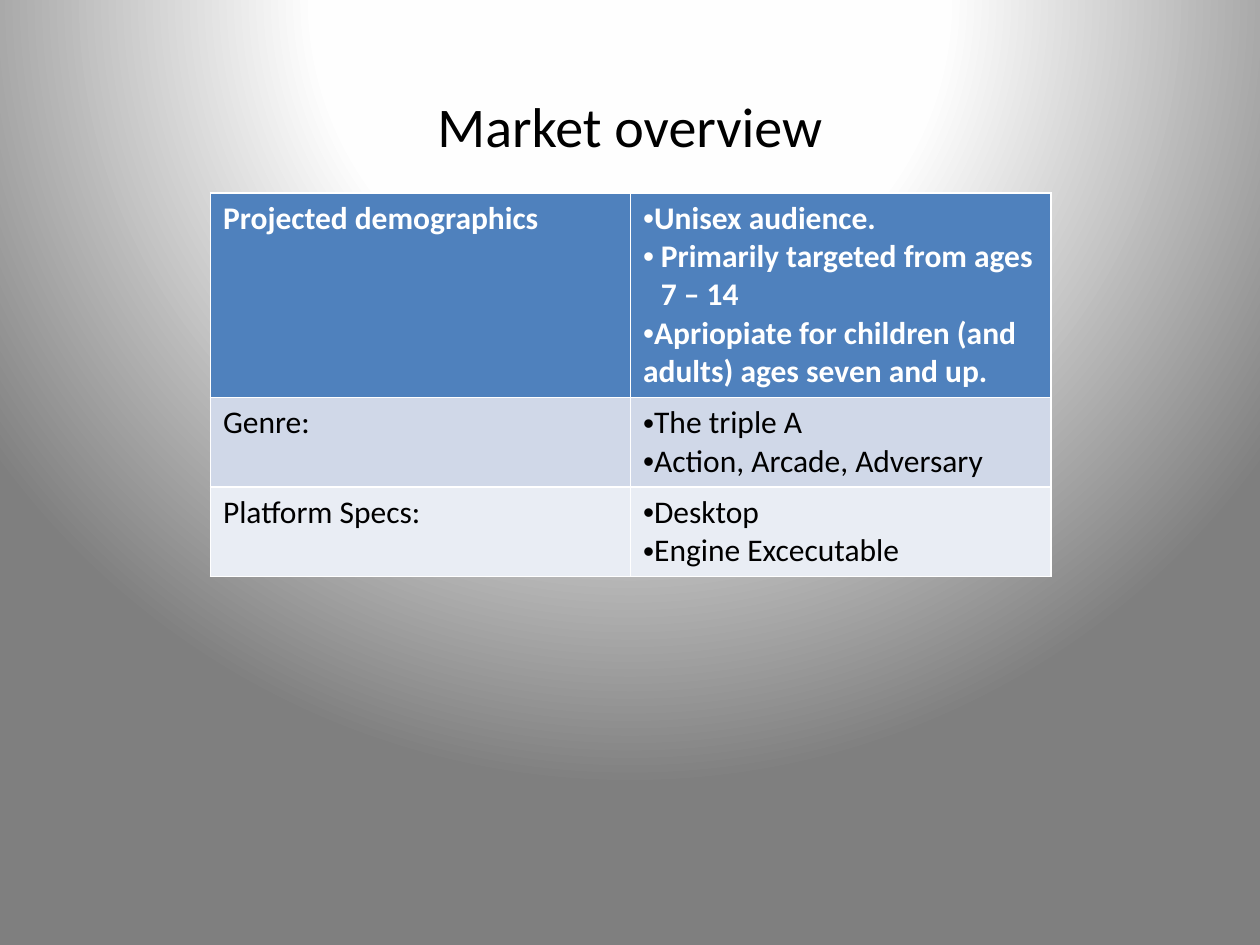
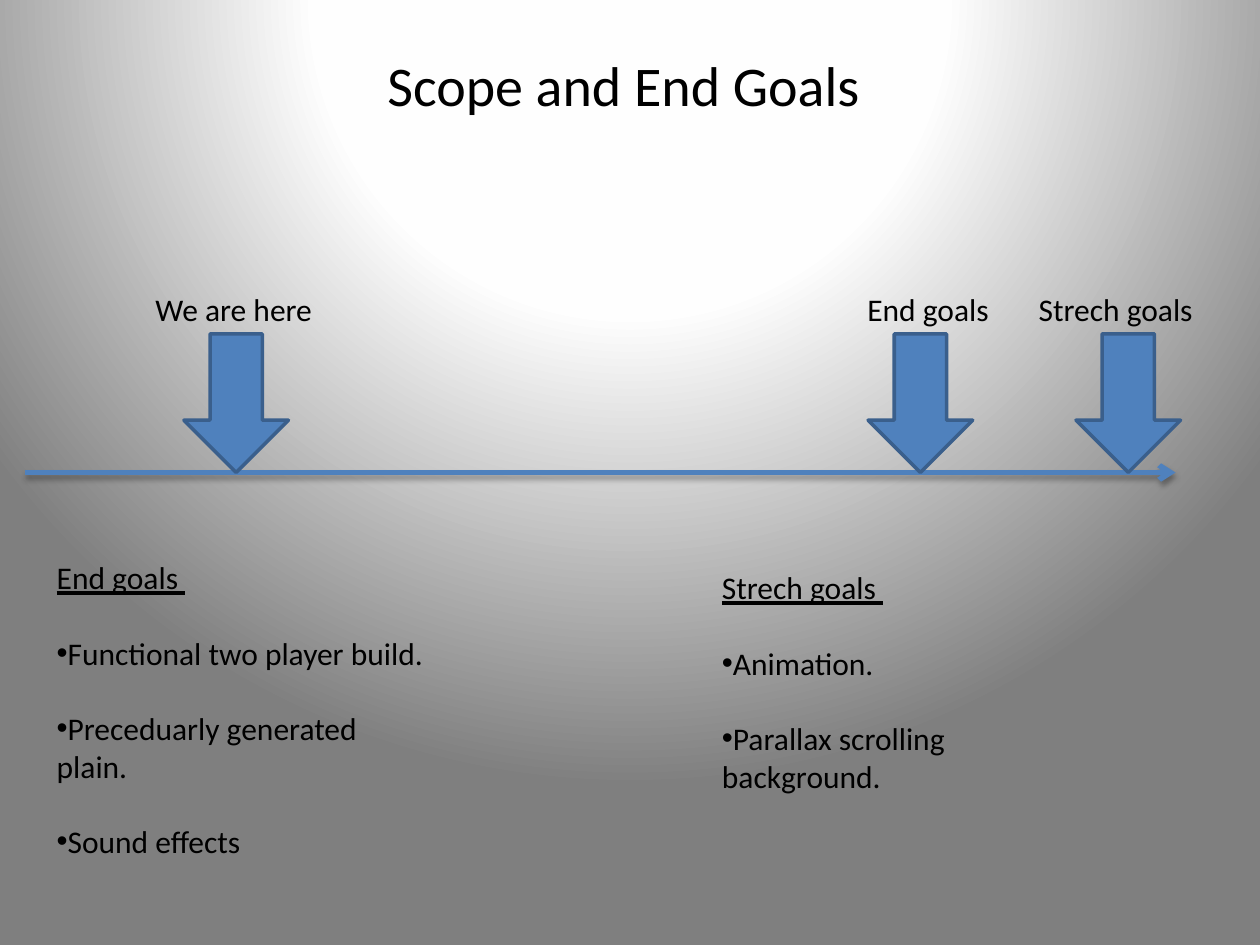
import pptx
import pptx.util
import pptx.oxml
import pptx.oxml.ns
import pptx.dml.color
import pptx.enum.shapes
import pptx.enum.text
from lxml import etree

Inches, Pt = pptx.util.Inches, pptx.util.Pt
qn = pptx.oxml.ns.qn
ALIGN = pptx.enum.text.PP_ALIGN

FONT, BULLET_FONT = "Calibri", "Arial"
COLOURS = {
    "ink": "000000", "white": "FFFFFF", "accent": "4F81BD", "outline": "3A5F8C",
    "band_dark": "D0D8E8", "band_light": "E9EDF4",
    "glow": "FEFEFE", "edge": "7F7F7F",
}
BACKDROP_STOPS = [(0, "white"), (40, "glow"), (100, "edge")]
TITLE_ONLY, TWO_CONTENT = 5, 3

MARKET_ROWS = [
    ("Projected demographics",
     ["Unisex audience.", "Primarily targeted from ages 7 – 14",
      "Apriopiate for children (and adults) ages seven and up."]),
    ("Genre:", ["The triple A", "Action, Arcade, Adversary"]),
    ("Platform Specs:", ["Desktop", "Engine Excecutable"]),
]
HANGING_ITEM = MARKET_ROWS[0][1][1]
# Fill, text colour and bold of each row
ROW_STYLES = [("accent", "white", True), ("band_dark", "ink", False),
              ("band_light", "ink", False)]

# Label, left of the label and left of the arrow
MILESTONES = [("We are here", 0.91, 1.46), ("End goals", 6.42, 6.89),
              ("Strech goals", 7.91, 8.54)]
GOAL_LISTS = [
    ("End goals ", ["Functional two player build.", "Preceduarly generated plain.",
                    "Sound effects"], (0.35, 4.38, 3.15, 3)),
    ("Strech goals ", ["Animation.", "Parallax scrolling background."],
     (5.63, 4.46, 3.15, 2.5)),
]


def rgb(name):
    return pptx.dml.color.RGBColor.from_string(COLOURS[name])


def add_node(parent, tag, **attributes):
    return etree.SubElement(parent, qn(tag), {k: str(v) for k, v in attributes.items()})


def add_colour(parent, name):
    return add_node(parent, "a:srgbClr", val=COLOURS[name])


def place(item, box):
    item.left, item.top, item.width, item.height = [Inches(v) for v in box]


def write_run(para, text, size=18, colour="ink", bold=False, underline=False):
    span = para.add_run()
    span.text = text
    font = span.font
    font.name, font.size, font.bold, font.underline = FONT, Pt(size), bold, underline
    font.color.rgb = rgb(colour)


def set_bullet(para, char=None, indent=0.0):
    """Give the paragraph a bullet, or none, with an optional hanging indent."""
    props = para._p.get_or_add_pPr()
    props.set("marL", str(Inches(indent)))
    props.set("indent", str(-Inches(indent)))
    if char:
        add_node(props, "a:buFont", typeface=BULLET_FONT)
        add_node(props, "a:buChar", char=char)
    else:
        add_node(props, "a:buNone")


def next_para(frame, index):
    return frame.paragraphs[0] if index == 0 else frame.add_paragraph()


def paint_backdrop(master):
    """Radial glow from above the page, shared by every slide."""
    content = master._element.find(qn("p:cSld"))
    for old in content.findall(qn("p:bg")):
        content.remove(old)
    backdrop = pptx.oxml.parse_xml(f"<p:bg {pptx.oxml.ns.nsdecls('p', 'a')}/>")
    content.insert(0, backdrop)
    props = add_node(backdrop, "p:bgPr")
    gradient = add_node(props, "a:gradFill", rotWithShape=1)
    stops = add_node(gradient, "a:gsLst")
    for position, colour in BACKDROP_STOPS:
        add_colour(add_node(stops, "a:gs", pos=position * 1000), colour)
    circle = add_node(gradient, "a:path", path="circle")
    add_node(circle, "a:fillToRect", l=50000, t=-80000, r=50000, b=180000)
    add_node(props, "a:effectLst")


def add_page(deck, layout, title, title_top):
    page = deck.slides.add_slide(deck.slide_layouts[layout])
    place(page.shapes.title, (0.51, title_top, 8.98, 0.64))
    frame = page.shapes.title.text_frame
    frame.auto_size = pptx.enum.text.MSO_AUTO_SIZE.NONE
    para = frame.paragraphs[0]
    para.alignment = ALIGN.CENTER
    write_run(para, title, size=32)
    return page


def add_market_table(page, box):
    """The table style draws the white rules; rows grow to fit their text."""
    frame = page.shapes.add_table(len(MARKET_ROWS), 2, *[Inches(v) for v in box])
    table = frame.table
    for column in table.columns:
        column.width = Inches(box[2] / 2)
    for row, (heading, items), style in zip(table.rows, MARKET_ROWS, ROW_STYLES):
        fill, colour, bold = style
        row.height = Inches(0.41)
        label, details = row.cells
        for cell in (label, details):
            cell.fill.solid()
            cell.fill.fore_color.rgb = rgb(fill)
        write_run(label.text_frame.paragraphs[0], heading, colour=colour, bold=bold)
        for index, item in enumerate(items):
            para = next_para(details.text_frame, index)
            set_bullet(para, "•", 0.14 if item == HANGING_ITEM else 0)
            write_run(para, item, colour=colour, bold=bold)


def add_time_axis(page, left, right, y):
    axis = page.shapes.add_connector(
        pptx.enum.shapes.MSO_CONNECTOR.STRAIGHT,
        Inches(left), Inches(y), Inches(right), Inches(y))
    axis.line.color.rgb = rgb("accent")
    axis.line.width = Pt(3)
    add_node(axis.line._get_or_add_ln(), "a:tailEnd", type="arrow")
    # Soft shadow straight below the line
    effects = add_node(axis._element.spPr, "a:effectLst")
    shadow = add_node(effects, "a:outerShdw", blurRad=Pt(3.1), dist=Pt(1.8),
                      dir=90 * 60000, rotWithShape=0)
    add_node(add_colour(shadow, "ink"), "a:alpha", val=35000)


def add_milestone(page, text, label_left, arrow_left, top):
    label_height = 0.4
    arrow = page.shapes.add_shape(
        pptx.enum.shapes.MSO_SHAPE.DOWN_ARROW, Inches(arrow_left),
        Inches(top + label_height), Inches(0.83), Inches(1.1))
    arrow.shadow.inherit = False
    arrow.fill.solid()
    arrow.fill.fore_color.rgb = rgb("accent")
    arrow.line.color.rgb = rgb("outline")
    arrow.line.width = Pt(2)

    label = page.shapes.add_textbox(
        Inches(label_left), Inches(top), Inches(1.89), Inches(label_height))
    label.text_frame.word_wrap = True
    para = label.text_frame.paragraphs[0]
    para.alignment = ALIGN.CENTER
    write_run(para, text)


def add_timeline(page, box):
    left, top, width, height = box
    add_time_axis(page, left, left + width, top + height)
    for text, label_left, arrow_left in MILESTONES:
        add_milestone(page, text, label_left, arrow_left, top)


def fill_goal_list(body, heading, items, box):
    place(body, box)
    frame = body.text_frame
    frame.auto_size = pptx.enum.text.MSO_AUTO_SIZE.NONE
    for index, text in enumerate([heading] + items):
        para = next_para(frame, index)
        para.space_before = Pt(21.5 if index else 0)
        set_bullet(para, "•" if index else None)
        write_run(para, text, underline=index == 0)


def build_market_page(deck):
    page = add_page(deck, TITLE_ONLY, "Market overview", 0.67)
    add_market_table(page, (1.67, 1.53, 6.67, 1.23))


def build_goals_page(deck):
    page = add_page(deck, TWO_CONTENT, "Scope and End Goals ", 0.35)
    add_timeline(page, (0.2, 2.25, 9.13, 1.5))
    bodies = list(page.placeholders)[1:]
    for body, goal_list in zip(bodies, GOAL_LISTS):
        fill_goal_list(body, *goal_list)


def main():
    deck = pptx.Presentation()
    deck.slide_width, deck.slide_height = Inches(10), Inches(7.5)
    paint_backdrop(deck.slide_master)
    build_market_page(deck)
    build_goals_page(deck)
    deck.save("out.pptx")


if __name__ == "__main__":
    main()
